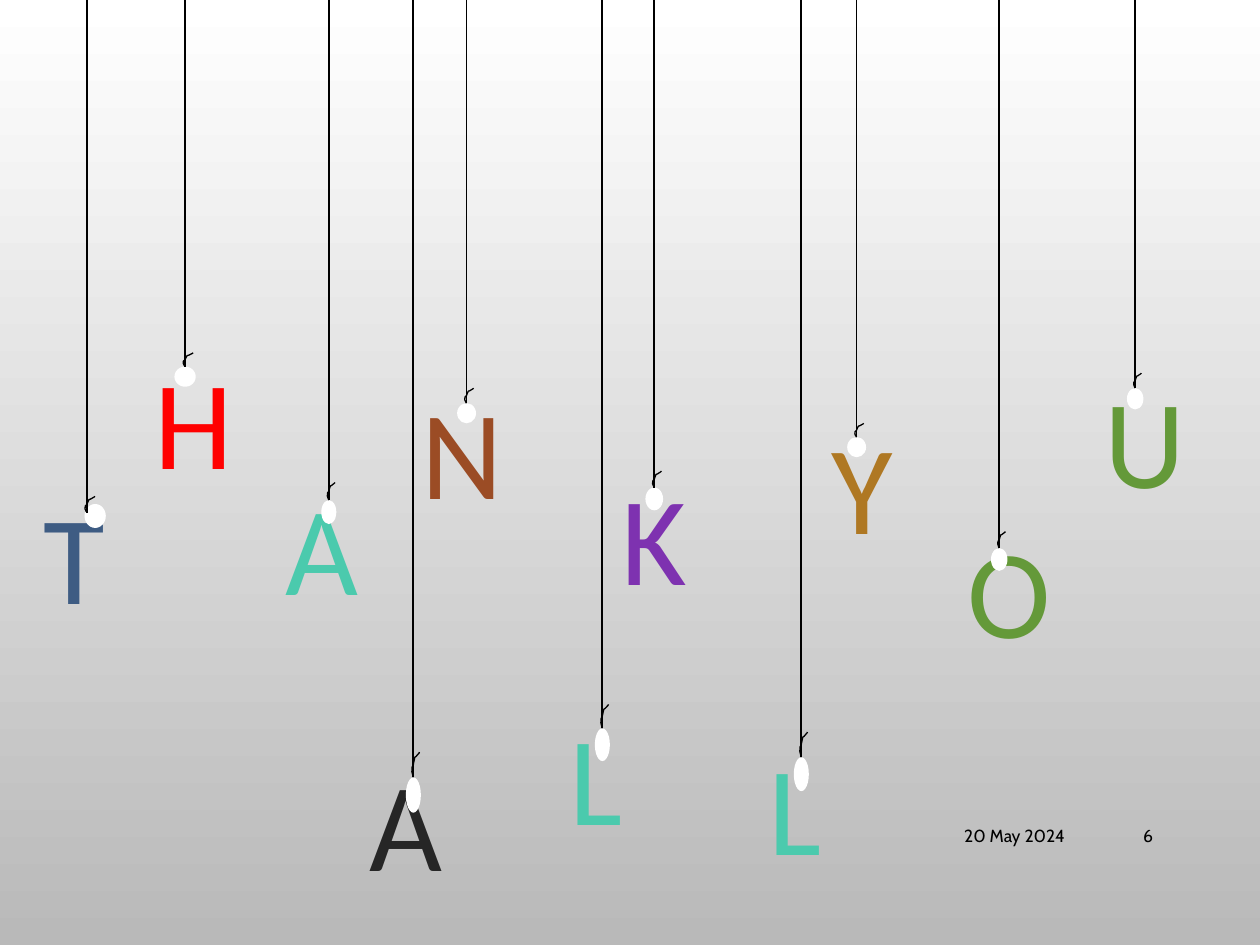
import pptx
import pptx.dml.color
import pptx.enum.shapes
import pptx.enum.text
import pptx.oxml
import pptx.util

Pt = pptx.util.Pt

COLOURS = {
    "top": "FFFFFF", "bottom": "B9B9B9", "white": "FFFFFF", "black": "000000",
    "blue": "3E5C83", "red": "FF0000", "teal": "4BCAAD", "brown": "9B4C25",
    "purple": "7E32B0", "gold": "AF7823", "green": "649939", "charcoal": "262626",
}

HOOK_CURVE = [
    (0.3, 1), (0.2, 0.88), (0.13, 0.77), (0.15, 0.6), (0.3, 0.5), (0.38, 0.35),
    (0.48, 0.2), (0.6, 0.18), (0.8, 0.1), (0.95, 0.04), (1, 0),
]

# pylint: disable=line-too-long
ORNAMENTS = [
    ("T", "blue", (18, 270, 108, 94.3), (49.7, 0, 293), (12.2, 13.7), (6.5, 9.4), (4.7, -5)),
    ("H", "red", (81.4, 193, 108, 94.3), (105.8, -40.3, 209.5), (12.2, 11.5), (6.5, 7.9), (0, 0)),
    ("A", "teal", (156.2, 265, 77.8, 95), (187.9, -18, 285.8), (8.6, 13.7), (5, 10.1), (0, 0)),
    ("N", "brown", (234, 210.2, 95.8, 96.5), (266.6, -30.2, 230.4), (10.8, 11.5), (5.8, 8.6), (0, 0)),
    ("K", "purple", (347.8, 259.2, 90, 94.3), (373.9, -48.2, 278.6), (10.1, 13), (5.8, 9.4), (0, 0)),
    ("Y", "gold", (468, 229.7, 95.8, 94.3), (489.5, 0, 249.8), (10.8, 11.5), (5.8, 7.9), (0, 0)),
    ("O", "green", (545.8, 289.4, 84.2, 100.8), (571, 0, 313.2), (9.4, 13), (5, 9.4), (0, 0)),
    ("U", "green", (624.2, 203.8, 84.2, 94.3), (648.7, -72, 221.8), (9.4, 12.2), (5, 8.6), (0, 0)),
    ("A", "charcoal", (203.8, 422.6, 77.8, 99.4), (236.2, 0, 444.2), (8.6, 20.2), (5, 14.4), (0, 0)),
    ("L", "teal", (318.2, 396, 77.8, 121.7), (344.2, 0, 416.2), (8.6, 18.7), (5, 13.7), (0, 0)),
    ("L", "teal", (432, 413.3, 77.8, 126.7), (457.9, 0, 432.7), (8.6, 19.4), (5, 14.4), (0, 0)),
]


class SlideBuilder:
    letter_font, letter_size = "Calibri", 72
    footer_font, footer_size = "Cabin", 10
    string_width, hook_width = 1, 0.75

    def __init__(self, slide):
        self.slide = slide

    def colour(self, name):
        return pptx.dml.color.RGBColor.from_string(COLOURS[name])

    def background(self):
        fill = self.slide.background.fill
        fill.gradient()
        fill.gradient_angle = 270
        for stop, name in zip(fill.gradient_stops, ("top", "bottom")):
            stop.color.rgb = self.colour(name)

    def text(self, shapes, text, box, font, size, colour):
        shape = shapes.add_textbox(*map(Pt, box))
        frame = shape.text_frame
        frame.text = text
        frame.word_wrap = True
        run = frame.paragraphs[0].runs[0]
        run.font.name = font
        run.font.size = Pt(size)
        run.font.color.rgb = self.colour(colour)
        return frame

    def letter(self, shapes, text, box, colour):
        frame = self.text(shapes, text, box, self.letter_font, self.letter_size, colour)
        frame.auto_size = pptx.enum.text.MSO_AUTO_SIZE.SHAPE_TO_FIT_TEXT

    def footer(self, text, box):
        frame = self.text(self.slide.shapes, text, box, self.footer_font, self.footer_size, "black")
        frame.vertical_anchor = pptx.enum.text.MSO_ANCHOR.MIDDLE
        frame.paragraphs[0].alignment = pptx.enum.text.PP_ALIGN.RIGHT

    def bulb(self, shapes, centre, top, width, height):
        shape = shapes.add_shape(
            pptx.enum.shapes.MSO_SHAPE.OVAL, Pt(centre - width / 2), Pt(top), Pt(width), Pt(height))
        shape.shadow.inherit = False
        shape.fill.solid()
        shape.fill.fore_color.rgb = self.colour("white")
        shape.line.fill.background()

    def string(self, shapes, x, top, bottom):
        line = shapes.add_connector(
            pptx.enum.shapes.MSO_CONNECTOR.STRAIGHT, Pt(x), Pt(bottom), Pt(x), Pt(top))
        line.line.color.rgb = self.colour("black")
        line.line.width = Pt(self.string_width)
        line._element.spPr.append(pptx.oxml.parse_xml(
            '<a:effectLst xmlns:a="http://schemas.openxmlformats.org/drawingml/2006/main"/>'))

    def hook(self, shapes, x, bottom, width, height):
        points = [(Pt(x + (across - 0.3) * width), Pt(bottom - (1 - down) * height))
                  for across, down in HOOK_CURVE]
        builder = shapes.build_freeform(*points[0])
        builder.add_line_segments(points[1:], close=False)
        shape = builder.convert_to_shape()
        shape.shadow.inherit = False
        shape.fill.background()
        shape.line.color.rgb = self.colour("black")
        shape.line.width = Pt(self.hook_width)

    def ornament(self, text, colour, box, string, bulb, hook, shift):
        shapes = self.slide.shapes.add_group_shape().shapes
        x, _, bottom = string
        self.letter(shapes, text, box, colour)
        self.bulb(shapes, x + shift[0], bottom + shift[1], *bulb)
        self.string(shapes, *string)
        self.hook(shapes, x, bottom, *hook)


def main():
    presentation = pptx.Presentation()
    presentation.slide_width = Pt(720)
    presentation.slide_height = Pt(540)
    builder = SlideBuilder(presentation.slides.add_slide(presentation.slide_layouts[6]))
    builder.background()
    for ornament in ORNAMENTS:
        builder.ornament(*ornament)
    builder.footer("20 May 2024", (453.6, 463, 162, 28.8))
    builder.footer("6", (620.6, 463, 45.4, 28.8))
    presentation.save("out.pptx")


if __name__ == "__main__":
    main()
